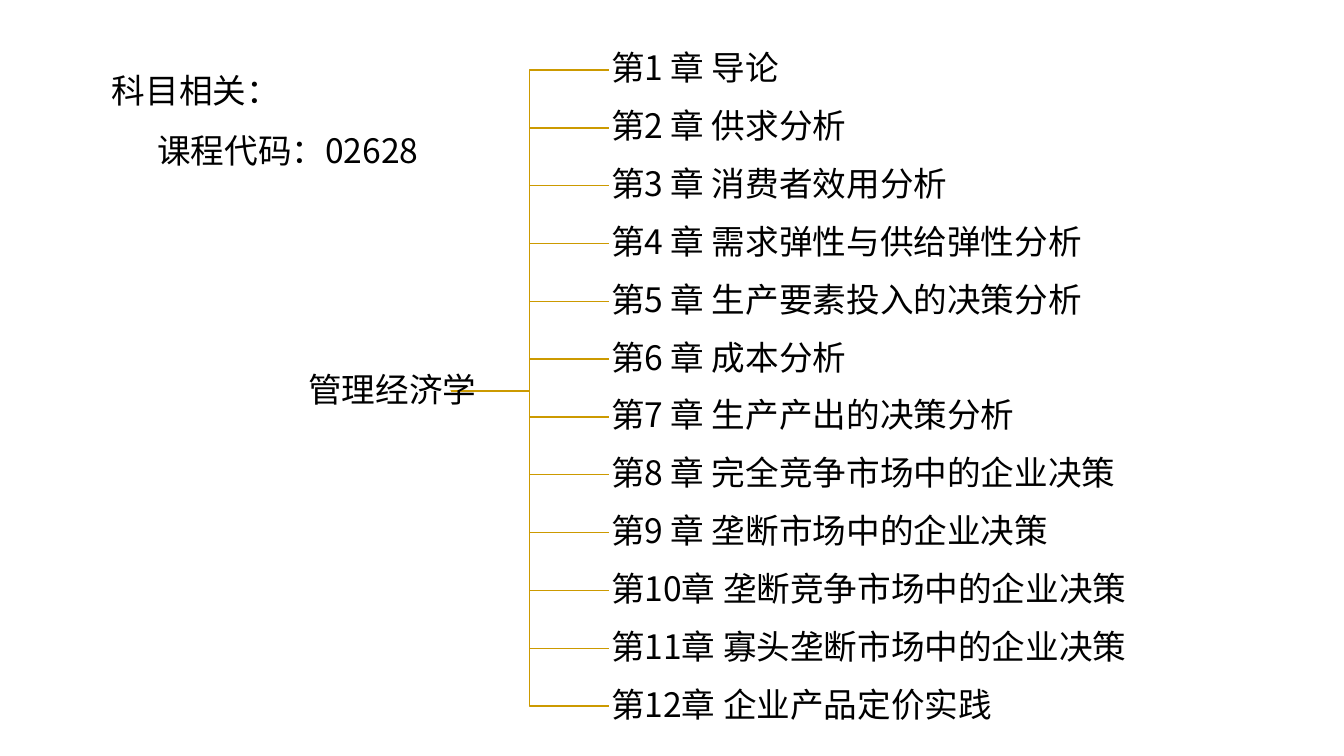
from dataclasses import dataclass

from lxml.etree import SubElement
from pptx import Presentation
from pptx.dml.color import RGBColor
from pptx.enum.shapes import MSO_SHAPE
from pptx.enum.text import MSO_ANCHOR, MSO_AUTO_SIZE, PP_ALIGN
from pptx.oxml.ns import qn
from pptx.shapes.autoshape import Shape
from pptx.slide import Slide
from pptx.util import Inches, Pt

FONT = "Noto Sans CJK SC"
BLACK, WHITE, GOLD = "000000", "FFFFFF", "CC9A00"
ROOT_X, ROOT_Y, BEND_X, LIST_X = 4.47, 3.88, 5.25, 6.04
TOP, LAST, ROW_H = 0.44, 6.75, 0.51
CHAPTERS = [
    "第1 章 导论",
    "第2 章 供求分析",
    "第3 章 消费者效用分析",
    "第4 章 需求弹性与供给弹性分析",
    "第5 章 生产要素投入的决策分析",
    "第6 章 成本分析",
    "第7 章 生产产出的决策分析",
    "第8 章 完全竞争市场中的企业决策",
    "第9 章 垄断市场中的企业决策",
    "第10章 垄断竞争市场中的企业决策",
    "第11章 寡头垄断市场中的企业决策",
    "第12章 企业产品定价实践",
]
STEP = (LAST - TOP) / (len(CHAPTERS) - 1)


@dataclass
class Chapter:
    """A chapter label and the top of its row."""

    text: str
    top: float

    @property
    def mid(self) -> float:
        """Return the height of the row's centre line."""
        return self.top + ROW_H / 2


@dataclass
class Style:
    """Paragraph settings and inner margin of a text shape."""

    align: PP_ALIGN
    anchor: MSO_ANCHOR
    leading: float
    after: float
    inset: tuple[float, float]


ROOT = Style(PP_ALIGN.CENTER, MSO_ANCHOR.MIDDLE, 0.9, 8.4, (0.02, 0.02))
ROW = Style(PP_ALIGN.LEFT, MSO_ANCHOR.MIDDLE, 0.9, 8.4, (0.02, 0.02))
NOTE = Style(PP_ALIGN.LEFT, MSO_ANCHOR.TOP, 1.5, 0, (0.1, 0.05))


def color(code: str) -> RGBColor:
    """Turn a hex string into a colour."""
    return RGBColor.from_string(code)


def place(shape: Shape, left: float, top: float, width: float, height: float) -> None:
    """Move and size a shape in inches."""
    shape.left, shape.top = Inches(left), Inches(top)
    shape.width, shape.height = Inches(width), Inches(height)


def write(shape: Shape, lines: list[tuple[str, float]], style: Style) -> None:
    """Fill a shape with lines, each given as text and left indent."""
    frame = shape.text_frame
    frame.word_wrap = True
    frame.auto_size = MSO_AUTO_SIZE.NONE
    frame.vertical_anchor = style.anchor
    side, edge = style.inset
    frame.margin_left = frame.margin_right = Inches(side)
    frame.margin_top = frame.margin_bottom = Inches(edge)
    for i, (text, indent) in enumerate(lines):
        para = frame.add_paragraph() if i else frame.paragraphs[0]
        para.alignment = style.align
        para.line_spacing = style.leading
        para.space_before, para.space_after = Pt(0), Pt(style.after)
        run = para.add_run()
        run.text = text
        run.font.size = Pt(24)
        run.font.bold = False
        run.font.color.rgb = color(BLACK)
        run.font.name = FONT
        props = para.alignment is not None and shape.element.findall(".//" + qn("a:pPr"))[i]
        props.set("marL", str(Inches(indent)))
        props.set("indent", "0")
        SubElement(props, qn("a:buNone"))
    for mark in shape.element.iter(qn("a:rPr")):
        SubElement(mark, qn("a:ea")).set("typeface", FONT)


def branch(slide: Slide, item: Chapter) -> None:
    """Draw the bent line from the root to a chapter."""
    pen = slide.shapes.build_freeform(Inches(ROOT_X), Inches(ROOT_Y))
    ends = [(BEND_X, ROOT_Y), (BEND_X, item.mid), (LIST_X, item.mid)]
    pen.add_line_segments([(Inches(x), Inches(y)) for x, y in ends], close=False)
    line = pen.convert_to_shape()
    line.shadow.inherit = False
    line.fill.background()
    line.line.color.rgb = color(GOLD)
    line.line.width = Pt(1)


def label(slide: Slide, item: Chapter) -> None:
    """Draw the white box that names a chapter."""
    box = slide.shapes.add_shape(MSO_SHAPE.RECTANGLE, 0, 0, 0, 0)
    place(box, LIST_X, item.top, 5.79, ROW_H)
    box.shadow.inherit = False
    box.fill.solid()
    box.fill.fore_color.rgb = color(WHITE)
    box.line.fill.background()
    write(box, [(item.text, 0)], ROW)


def main() -> None:
    """Build the chapter tree and save it."""
    deck = Presentation()
    deck.slide_width, deck.slide_height = Inches(13.33), Inches(7.5)
    slide = deck.slides.add_slide(deck.slide_layouts[1])
    title, body = slide.shapes.title, slide.placeholders[1]
    items = [Chapter(text, TOP + i * STEP) for i, text in enumerate(CHAPTERS)]

    for item in reversed(items):
        branch(slide, item)
    place(title, 2.73, 3.3, 2.32, 1.16)
    write(title, [("管理经济学", 0)], ROOT)
    slide.shapes.element.append(title.element)
    for item in items:
        label(slide, item)
    place(body, 1.01, 0.44, 8.19, 1.31)
    write(body, [("科目相关：", 0), ("课程代码：02628", 0.45)], NOTE)
    slide.shapes.element.append(body.element)
    deck.save("out.pptx")


if __name__ == "__main__":
    main()
